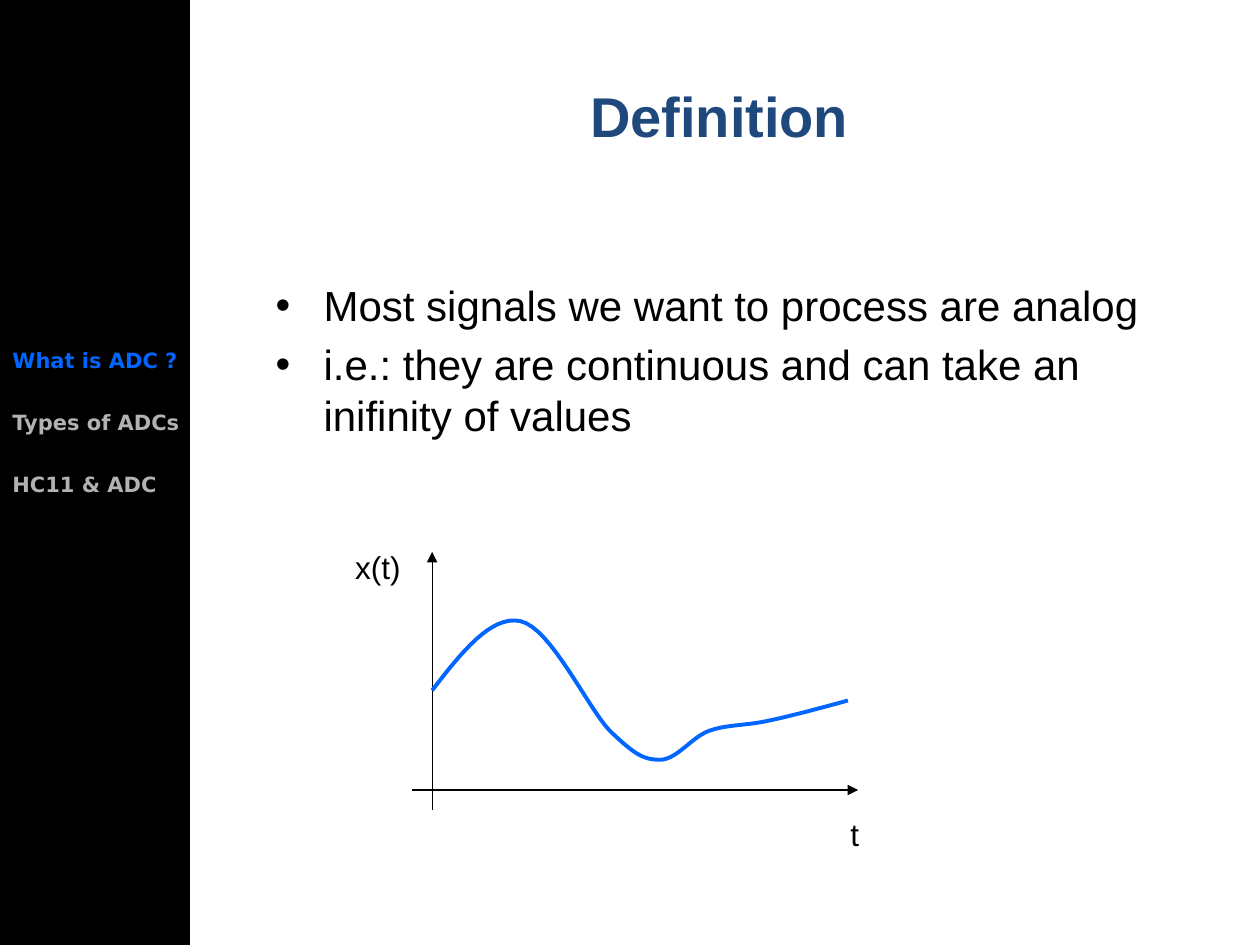
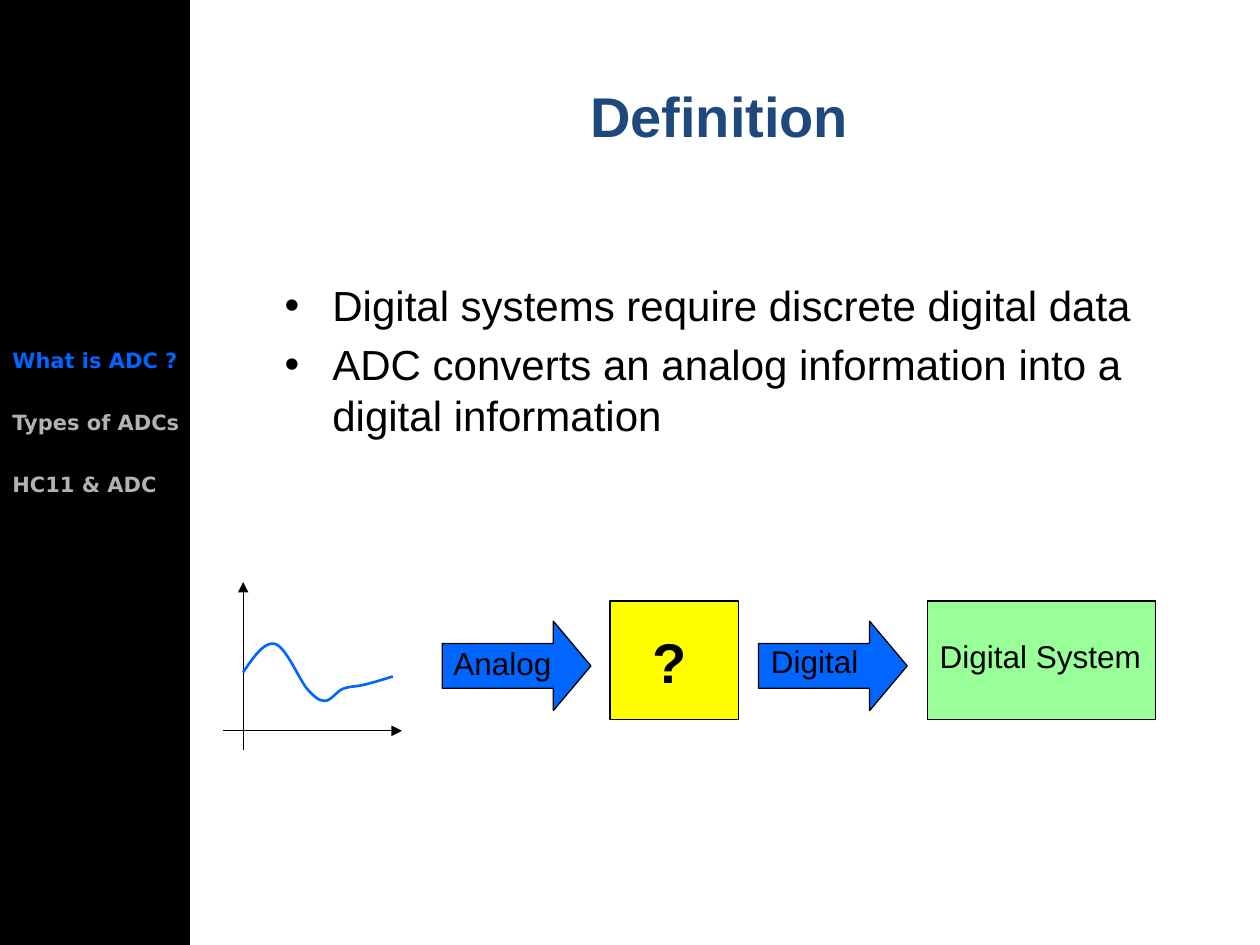
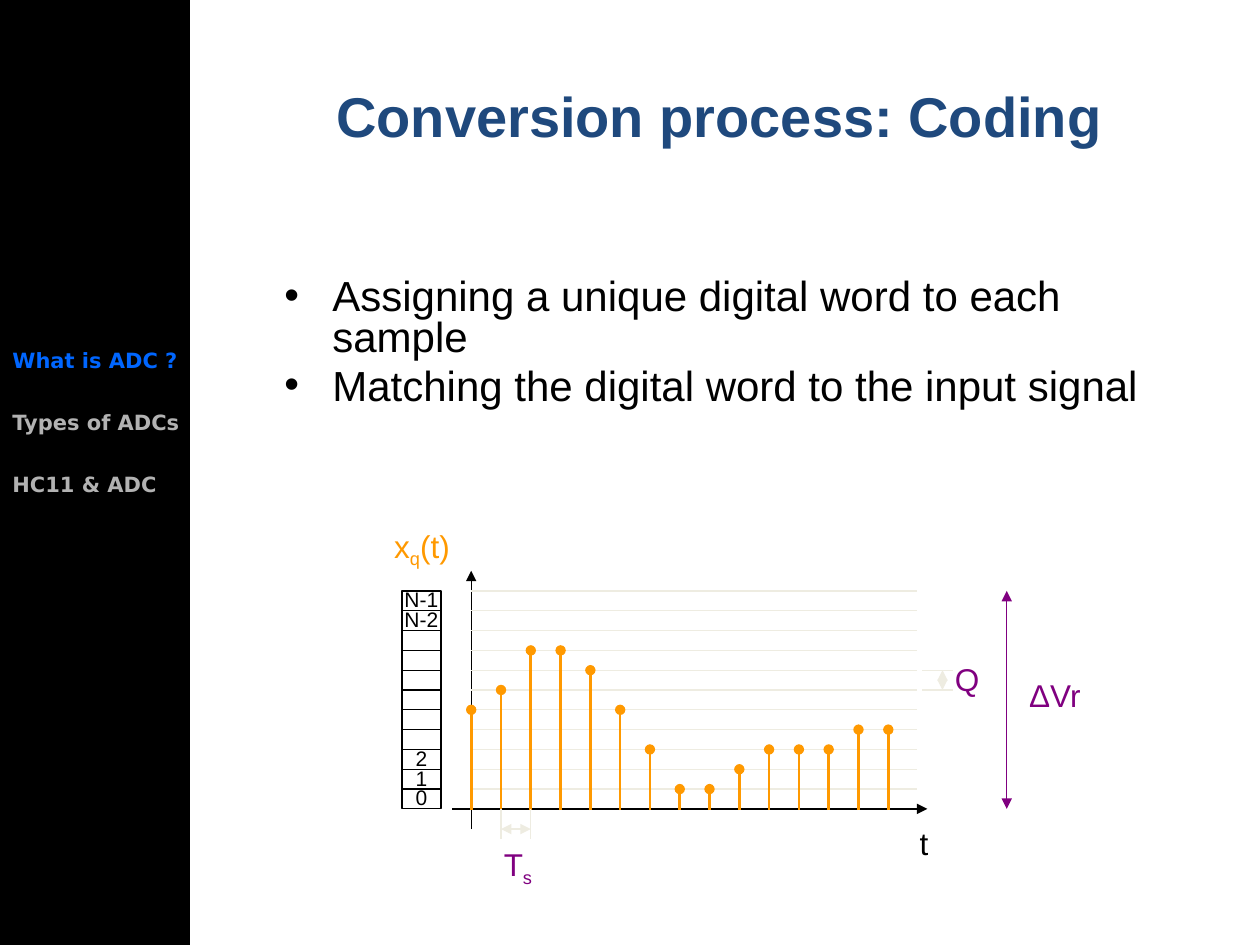
"""Build three slides that introduce analog to digital conversion."""
from dataclasses import dataclass

from lxml import etree
from pptx import Presentation
from pptx.dml.color import RGBColor
from pptx.enum.shapes import MSO_CONNECTOR, MSO_SHAPE
from pptx.enum.text import MSO_ANCHOR, PP_ALIGN
from pptx.oxml.ns import qn
from pptx.util import Inches, Pt

STRAIGHT = MSO_CONNECTOR.STRAIGHT
RECT, ARROW = MSO_SHAPE.RECTANGLE, MSO_SHAPE.RIGHT_ARROW
LEFT, CENTER = PP_ALIGN.LEFT, PP_ALIGN.CENTER
TOP = MSO_ANCHOR.TOP

BLACK = RGBColor(0x00, 0x00, 0x00)
BLUE = RGBColor(0x00, 0x66, 0xFF)
NAVY = RGBColor(0x1F, 0x49, 0x7D)
GREY = RGBColor(0xB2, 0xB2, 0xB2)
GREEN = RGBColor(0x99, 0xFF, 0x99)
YELLOW = RGBColor(0xFF, 0xFF, 0x00)
CREAM = RGBColor(0xEE, 0xEC, 0xE1)
PURPLE = RGBColor(0x80, 0x00, 0x80)
ORANGE = RGBColor(0xFF, 0x99, 0x00)

FONT, NAV_FONT = "Arial", "DejaVu Sans"
SECTIONS = ["What is ADC ?", "Types of ADCs", "HC11 & ADC"]

SIGNAL_START = (0, 0.6)
SIGNAL_CURVES = [
    [(0.23, 0.3), (0.47, 0), (0.7, 0.05)],
    [(0.94, 0.1), (1.23, 0.73), (1.41, 0.92)],
    [(1.6, 1.1), (1.67, 1.15), (1.81, 1.15)],
    [(1.94, 1.15), (2.06, 0.97), (2.2, 0.92)],
    [(2.34, 0.87), (2.49, 0.88), (2.67, 0.84)],
    [(2.86, 0.8), (3.08, 0.74), (3.3, 0.68)],
]
CURVE_STEPS = 16

LEVELS = 11
ZERO, ORIGIN = 6.42, 3.74
STEP = 1.73 / LEVELS
PERIOD = 3.31 / 14
SAMPLES = [5, 6, 8, 8, 7, 5, 3, 1, 1, 2, 3, 3, 3, 4, 4]
CODES = {0: "0", 1: "1", 2: "2", 9: "N-2", 10: "N-1"}


@dataclass
class Label:
    """One line of text; every second piece is a subscript."""
    pieces: tuple[str, ...]
    left: float
    top: float
    width: float
    size: int = 18
    color: RGBColor = BLACK
    bold: bool = False
    font: str = FONT
    align: PP_ALIGN = LEFT


@dataclass
class Line:
    """A straight line with optional ends."""
    x1: float
    y1: float
    x2: float
    y2: float
    color: RGBColor = BLACK
    weight: float = 0.75
    head: str = ""
    tail: str = ""


@dataclass
class Block:
    """A preset shape, unfilled when it has no fill colour."""
    kind: MSO_SHAPE
    left: float
    top: float
    width: float
    height: float
    fill: RGBColor | None = None


def format_run(r, size: int, color: RGBColor, bold: bool = False, font: str = FONT) -> None:
    """Format the font of a run."""
    for name, value in {"size": Pt(size), "bold": bold, "name": font}.items():
        setattr(r.font, name, value)
    r.font.color.rgb = color


def fill_label(tf, label: Label) -> None:
    """Write a label into a text frame."""
    tf.word_wrap = True
    tf.vertical_anchor = TOP
    p = tf.paragraphs[0]
    p.alignment = label.align
    for i, piece in enumerate(label.pieces):
        r = p.add_run()
        r.text = piece
        format_run(r, label.size, label.color, label.bold, label.font)
        if i % 2:
            r.font._element.set("baseline", "-25000")


def place_label(sp, label: Label) -> None:
    """Position a text shape and write its label."""
    box = {"left": label.left, "top": label.top, "width": label.width,
           "height": label.size * 1.2 / 72 + 0.1}
    for name, value in box.items():
        setattr(sp, name, Inches(value))
    fill_label(sp.text_frame, label)


def draw_label(s, label: Label) -> None:
    """Add a label as a text box."""
    place_label(s.shapes.add_textbox(0, 0, 0, 0), label)


def draw_line(s, line: Line) -> None:
    """Add a line as a connector without shadow."""
    ends = (Inches(v) for v in (line.x1, line.y1, line.x2, line.y2))
    sp = s.shapes.add_connector(STRAIGHT, *ends)
    sp.line.color.rgb = line.color
    sp.line.width = Pt(line.weight)
    ln = sp.line._get_or_add_ln()
    for tag, kind in (("a:headEnd", line.head), ("a:tailEnd", line.tail)):
        if kind:
            etree.SubElement(ln, qn(tag), type=kind)
    etree.SubElement(sp._element.spPr, qn("a:effectLst"))


def draw_block(s, block: Block) -> None:
    """Add a preset shape with a thin black outline."""
    box = (Inches(v) for v in (block.left, block.top, block.width, block.height))
    sp = s.shapes.add_shape(block.kind, *box)
    sp.shadow.inherit = False
    sp.line.color.rgb = BLACK
    sp.line.width = Pt(0.75)
    if block.fill is None:
        sp.fill.background()
    else:
        sp.fill.solid()
        sp.fill.fore_color.rgb = block.fill
    if block.kind == ARROW:
        sp.adjustments[1] = 0.42


def draw_signal(s, left: float, top: float, sx: float, sy: float, weight: float) -> None:
    """Draw the analog signal as a finely stepped Bezier outline."""
    def place(x: float, y: float) -> tuple[int, int]:
        """Scale a signal point onto the slide."""
        return Inches(left + x * sx), Inches(top + y * sy)

    points = []
    start = SIGNAL_START
    for c1, c2, end in SIGNAL_CURVES:
        for i in range(1, CURVE_STEPS + 1):
            t = i / CURVE_STEPS
            u = 1 - t
            points.append(place(*(
                u**3 * a + 3 * u * u * t * b + 3 * u * t * t * c + t**3 * d
                for a, b, c, d in zip(start, c1, c2, end))))
        start = end
    builder = s.shapes.build_freeform(*place(*SIGNAL_START))
    builder.add_line_segments(points, close=False)
    sp = builder.convert_to_shape()
    sp.shadow.inherit = False
    sp.fill.background()
    sp.line.color.rgb = BLUE
    sp.line.width = Pt(weight)


def draw_bullets(s, items: list[str], left: float, width: float, spacing: float = 1.0) -> None:
    """Add the bulleted body text."""
    tf = s.shapes.add_textbox(Inches(left), Inches(2.17), Inches(width), Inches(1.82)).text_frame
    tf.word_wrap = True
    for i, item in enumerate(items):
        p = tf.add_paragraph() if i else tf.paragraphs[0]
        p.space_before = Pt(5)
        p.line_spacing = spacing
        r = p.add_run()
        r.text = item
        format_run(r, 24, BLACK)
        pPr = p._p.get_or_add_pPr()
        pPr.set("marL", str(Inches(0.38)))
        pPr.set("indent", str(Inches(-0.38)))
        etree.SubElement(pPr, qn("a:buFont"), typeface=FONT)
        etree.SubElement(pPr, qn("a:buChar"), char="•")


def add_slide(prs, title: str):
    """Add a slide with its title and the navigation band."""
    s = prs.slides.add_slide(prs.slide_layouts[5])
    place_label(s.shapes.title, Label((title,), 2.01, 0.6, 7.4, 32, NAVY, True, align=CENTER))
    draw_block(s, Block(RECT, 0, 0, 1.5, 7.5, BLACK))
    for i, name in enumerate(SECTIONS):
        color = GREY if i else BLUE
        draw_label(s, Label((name,), 0, 2.71 + 0.49 * i, 1.75, 12, color, True, NAV_FONT))
    return s


def draw_axes(s, x: float, bottom: float, top: float, y: float, left: float, right: float) -> None:
    """Draw a vertical and a horizontal axis with arrowheads."""
    draw_line(s, Line(x, bottom, x, top, tail="triangle"))
    draw_line(s, Line(left, y, right, y, tail="triangle"))


def build_analog(prs) -> None:
    """Build the slide on analog signals."""
    s = add_slide(prs, "Definition")
    draw_bullets(s, ["Most signals we want to process are analog",
                     "i.e.: they are continuous and can take an inifinity of values"], 2.09, 7.16)
    draw_axes(s, 3.43, 6.43, 4.38, 6.27, 3.27, 6.81)
    draw_label(s, Label(("x(t)",), 2.72, 4.3, 0.63))
    draw_label(s, Label(("t",), 6.65, 6.42, 0.63))
    draw_signal(s, 3.43, 4.88, 1, 1, 2.25)


def build_converter(prs) -> None:
    """Build the slide on the path from signal to digital system."""
    s = add_slide(prs, "Definition")
    draw_bullets(s, ["Digital systems require discrete digital data",
                     "ADC converts an analog information into a digital information"], 2.16, 7.09)
    draw_axes(s, 1.93, 5.95, 4.62, 5.8, 1.77, 3.19)
    draw_signal(s, 1.93, 5.09, 0.36, 0.41, 1.5)
    blocks = [
        Block(ARROW, 3.51, 4.93, 1.18, 0.71, BLUE),
        Block(RECT, 4.84, 4.77, 1.02, 0.94, YELLOW),
        Block(ARROW, 6.02, 4.93, 1.18, 0.71, BLUE),
        Block(RECT, 7.36, 4.77, 1.81, 0.94, GREEN),
    ]
    labels = [
        Label(("Analog",), 3.5, 5.06, 1.02),
        Label(("?",), 5.08, 4.93, 0.55, 32, bold=True),
        Label(("Digital",), 6.02, 5.05, 1.02),
        Label(("Digital System",), 7.36, 5.01, 1.81),
    ]
    for block, label in zip(blocks, labels):
        draw_block(s, block)
        draw_label(s, label)


def level_y(level: int) -> float:
    """Return the height of a quantization level on the slide."""
    return ZERO - level * STEP


def build_coding(prs) -> None:
    """Build the slide on coding of the samples."""
    s = add_slide(prs, "Conversion process: Coding")
    draw_bullets(s, ["Assigning a unique digital word to each sample",
                     "Matching the digital word to the input signal"], 2.16, 7.4, 0.8)
    both = {"head": "triangle", "tail": "triangle"}
    draw_axes(s, ORIGIN, 6.58, 4.53, ZERO, 3.59, 7.36)

    draw_block(s, Block(RECT, 3.19, level_y(LEVELS), 0.31, LEVELS * STEP))
    for level in range(1, LEVELS + 1):
        y = level_y(level)
        draw_line(s, Line(ORIGIN, y, 7.28, y, CREAM))
        if level < LEVELS:
            draw_line(s, Line(3.5, y, 3.19, y))
    for level, code in CODES.items():
        draw_label(s, Label((code,), 3.03, level_y(level) - 0.24, 0.63, 12, align=CENTER))

    for i, level in enumerate(SAMPLES):
        x = ORIGIN + i * PERIOD
        draw_line(s, Line(x, 6.43, x, level_y(level), ORANGE, 1.5, tail="oval"))

    first, second = ORIGIN + PERIOD, ORIGIN + 2 * PERIOD
    for x in (first, second):
        draw_line(s, Line(x, ZERO, x, 6.66, CREAM))
    draw_line(s, Line(first, 6.58, second, 6.58, CREAM, **both))
    low, high = level_y(6), level_y(7)
    for y in (low, high):
        draw_line(s, Line(7.32, y, 7.56, y, CREAM))
    draw_line(s, Line(7.48, high, 7.48, low, CREAM, **both))
    draw_line(s, Line(7.99, ZERO, 7.99, level_y(LEVELS), PURPLE, **both))

    for label in (
        Label(("x", "q", "(t)"), 3.03, 4.13, 0.71, color=ORANGE),
        Label(("t",), 7.2, 6.49, 0.63),
        Label(("T", "s"), 3.9, 6.66, 1.34, color=PURPLE),
        Label(("Q",), 7.48, 5.19, 0.39, color=PURPLE),
        Label(("ΔVr",), 8.07, 5.32, 0.71, color=PURPLE),
    ):
        draw_label(s, label)


def main() -> None:
    """Build and save the presentation."""
    prs = Presentation()
    prs.slide_width, prs.slide_height = Inches(10), Inches(7.5)
    for build in (build_analog, build_converter, build_coding):
        build(prs)
    prs.save("out.pptx")


if __name__ == "__main__":
    main()
